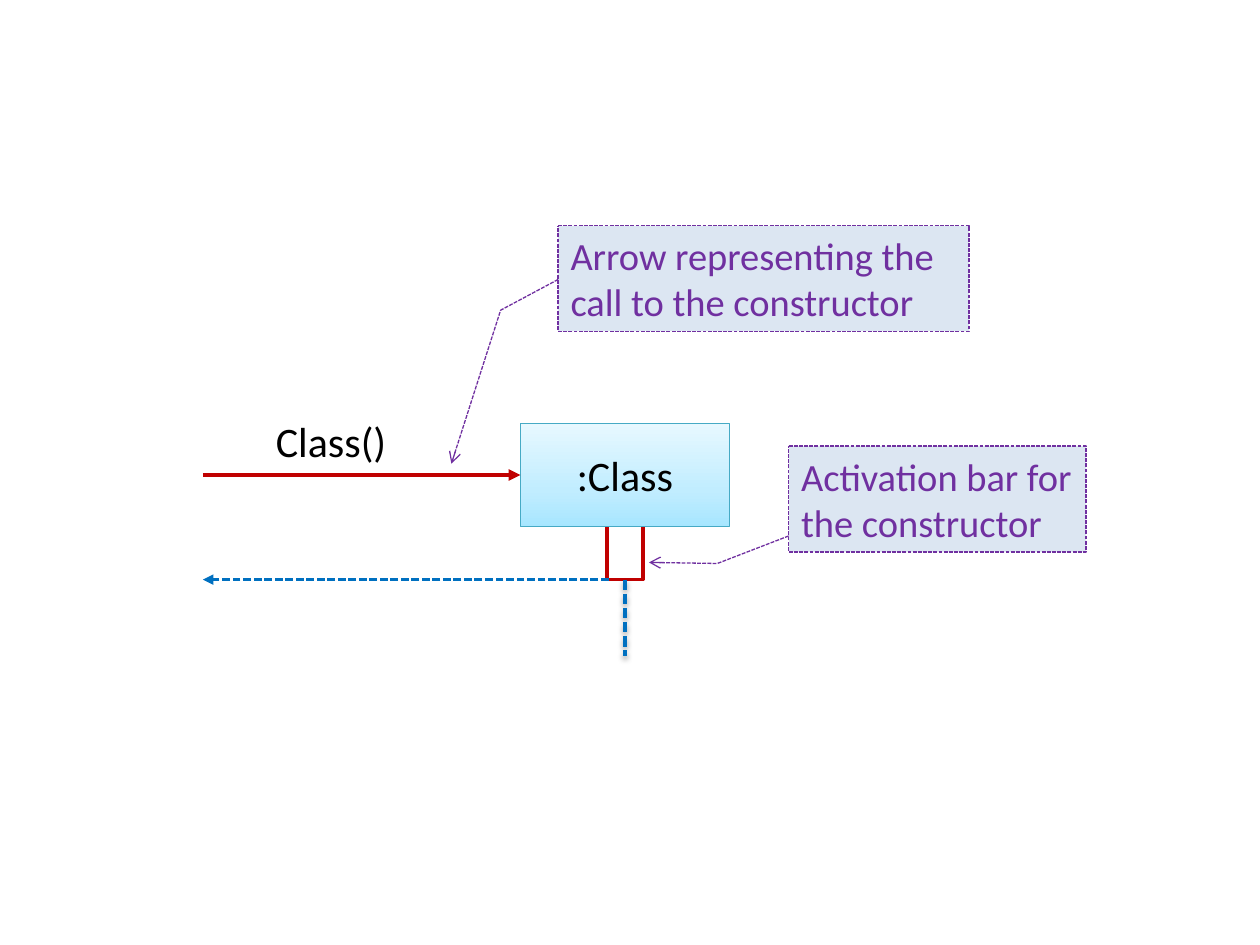
from copy import deepcopy

from lxml.etree import SubElement
from pptx import Presentation
from pptx.dml.color import RGBColor
from pptx.enum.dml import MSO_LINE
from pptx.enum.shapes import MSO_CONNECTOR, MSO_SHAPE
from pptx.enum.text import MSO_ANCHOR, PP_ALIGN
from pptx.oxml.ns import qn
from pptx.util import Inches, Pt

FONT = "Calibri"
BLACK = RGBColor(0x00, 0x00, 0x00)
WHITE = RGBColor(0xFF, 0xFF, 0xFF)
RED = RGBColor(0xC0, 0x00, 0x00)
BLUE = RGBColor(0x00, 0x70, 0xC0)
TEAL = RGBColor(0x46, 0xAA, 0xC5)
PURPLE = RGBColor(0x70, 0x30, 0xA0)
PALE_BLUE = RGBColor(0xDC, 0xE6, 0xF2)
BOX_GRADIENT = [
    (0, RGBColor(0xA7, 0xE6, 0xFF)),
    (0.35, RGBColor(0xC1, 0xED, 0xFF)),
    (1, RGBColor(0xE7, 0xF8, 0xFF)),
]


def style_line(line, color, width, dashed=False, arrowhead=None):
    line.color.rgb = color
    line.width = Pt(width)
    if dashed:
        line.dash_style = MSO_LINE.SQUARE_DOT
    if arrowhead:
        SubElement(line._get_or_add_ln(), qn("a:tailEnd"), type=arrowhead)


def write_text(shape, text, size, color, align=PP_ALIGN.LEFT,
               anchor=MSO_ANCHOR.MIDDLE):
    frame = shape.text_frame
    frame.word_wrap = True
    frame.vertical_anchor = anchor
    paragraph = frame.paragraphs[0]
    paragraph.alignment = align
    run = paragraph.add_run()
    run.text = text
    run.font.name = FONT
    run.font.size = Pt(size)
    run.font.color.rgb = color


def add_box(slide, kind, left, top, width, height):
    shape = slide.shapes.add_shape(
        kind, Inches(left), Inches(top), Inches(width), Inches(height))
    shape.shadow.inherit = False
    return shape


def fill_gradient(shape, stops):
    """Fill from bottom to top with the given (position, colour) stops."""
    shape.fill.gradient()
    shape.fill.gradient_angle = 90
    stop_list = shape._element.spPr.find(qn("a:gradFill")).find(qn("a:gsLst"))
    while len(stop_list) < len(stops):
        stop_list.append(deepcopy(stop_list[0]))
    for stop, (position, color) in zip(shape.fill.gradient_stops, stops):
        stop.position = position
        stop.color.rgb = color


def add_line(slide, start, end, color, width, **line_style):
    connector = slide.shapes.add_connector(
        MSO_CONNECTOR.STRAIGHT, *(Inches(value) for value in start + end))
    style_line(connector.line, color, width, **line_style)
    SubElement(connector._element.spPr, qn("a:effectLst"))
    return connector


def add_soft_shadow(connector):
    effects = connector._element.spPr.find(qn("a:effectLst"))
    shadow = SubElement(effects, qn("a:outerShdw"), blurRad=str(Pt(3.1)),
                        dist=str(Pt(1.6)), dir="5400000", rotWithShape="0")
    color = SubElement(shadow, qn("a:srgbClr"), val=str(BLACK))
    SubElement(color, qn("a:alpha"), val="38000")


def add_callout(slide, left, top, width, height, text, pointer):
    callout = add_box(slide, MSO_SHAPE.LINE_CALLOUT_2, left, top, width, height)
    for index, value in enumerate(pointer):
        callout.adjustments[index] = value
    callout.fill.solid()
    callout.fill.fore_color.rgb = PALE_BLUE
    style_line(callout.line, PURPLE, 0.75, dashed=True, arrowhead="arrow")
    write_text(callout, text, 22, PURPLE)


def main():
    presentation = Presentation()
    presentation.slide_width = Inches(10)
    presentation.slide_height = Inches(7.5)
    slide = presentation.slides.add_slide(presentation.slide_layouts[6])

    # Activation bar and lifeline
    bar = add_box(slide, MSO_SHAPE.RECTANGLE, 4.82, 4.17, 0.28, 0.43)
    bar.fill.solid()
    bar.fill.fore_color.rgb = WHITE
    style_line(bar.line, RED, 2.25)
    lifeline = add_line(slide, (4.96, 4.6), (4.96, 5.21), BLUE, 2, dashed=True)
    lifeline.begin_connect(bar, 2)
    add_soft_shadow(lifeline)

    # Object box
    class_box = add_box(slide, MSO_SHAPE.RECTANGLE, 4.13, 3.36, 1.66, 0.82)
    fill_gradient(class_box, BOX_GRADIENT)
    style_line(class_box.line, TEAL, 0.75)
    write_text(class_box, ":Class", 24, BLACK, PP_ALIGN.CENTER)

    # Constructor call and return
    label = slide.shapes.add_textbox(
        Inches(2.09), Inches(3.25), Inches(1.91), Inches(0.5))
    write_text(label, "Class()", 24, BLACK, anchor=MSO_ANCHOR.TOP)
    add_line(slide, (4.83, 4.6), (1.61, 4.6), BLUE, 1.5,
             dashed=True, arrowhead="triangle")
    call = add_line(slide, (1.61, 3.77), (4.13, 3.77), RED, 2.25,
                    arrowhead="triangle")
    call.end_connect(class_box, 1)

    # Explanations
    add_callout(slide, 4.43, 1.79, 3.26, 0.84,
                "Arrow representing the call to the constructor",
                (0.51, 0, 0.8, -0.14, 2.25, -0.26))
    add_callout(slide, 6.26, 3.54, 2.36, 0.84,
                "Activation bar for the constructor",
                (0.85, 0, 1.11, -0.24, 1.1, -0.47))

    presentation.save("out.pptx")


if __name__ == "__main__":
    main()
